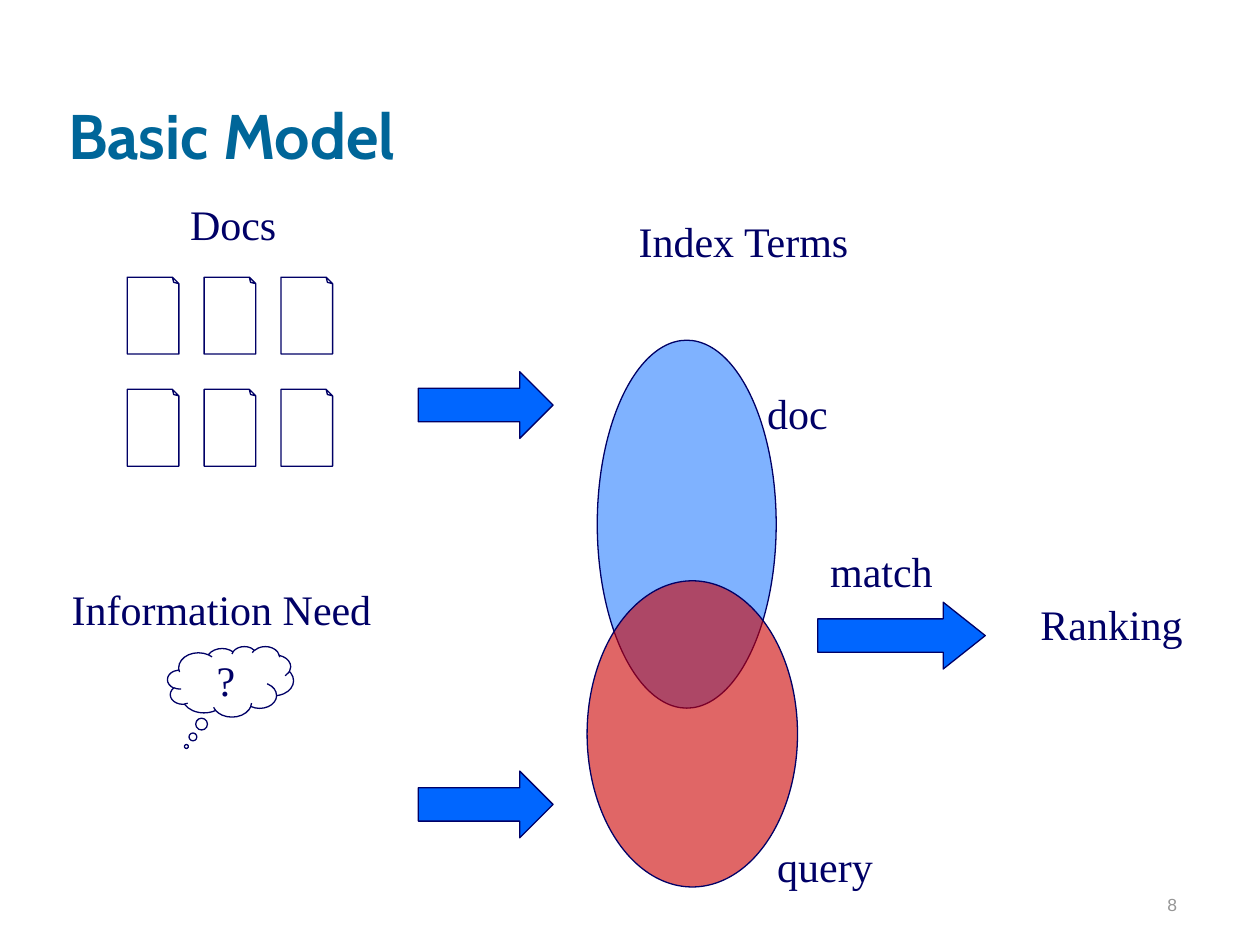
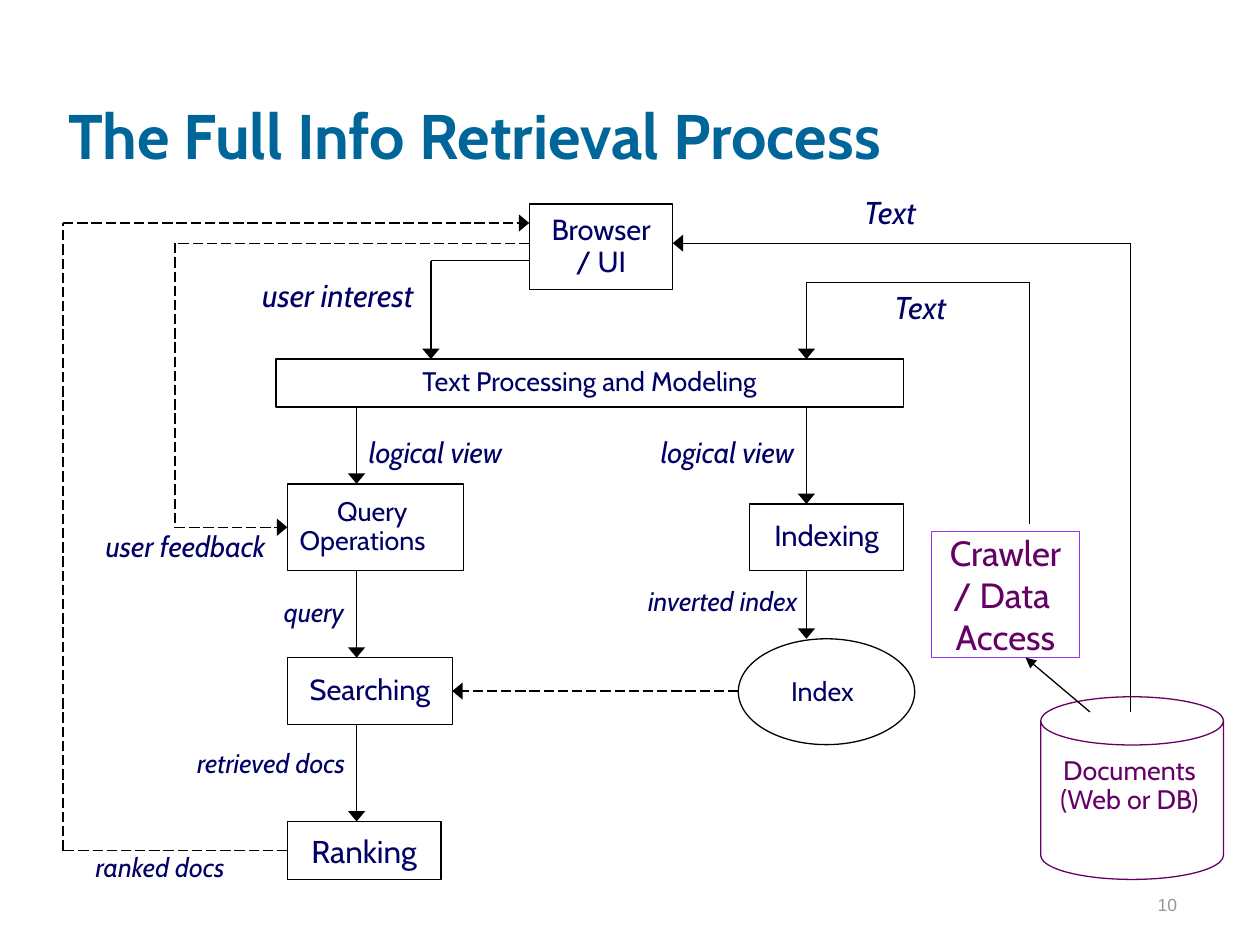
"""Build two slides on the model and the process of information retrieval."""
from itertools import pairwise, product

from lxml.etree import SubElement
from pptx import Presentation
from pptx.dml.color import RGBColor
from pptx.enum.dml import MSO_LINE
from pptx.enum.shapes import MSO_CONNECTOR, MSO_SHAPE as Shape
from pptx.enum.text import MSO_ANCHOR as Anchor, MSO_AUTO_SIZE, PP_ALIGN as Align
from pptx.oxml.ns import qn
from pptx.util import Inches, Pt

NAVY, TEAL, GREY, BLACK, WHITE = "000066", "006699", "969696", "000000", "FFFFFF"
BLUE, RED, PURPLE, VIOLET = "0066FF", "CC0000", "660066", "9933FF"
SERIF, SANS, NUMBER_FONT = "Times New Roman", "Cabin", "Arial"
LEFT, CENTER, RIGHT = Align.LEFT, Align.CENTER, Align.RIGHT
SLIDE_WIDTH, SLIDE_HEIGHT = 10, 7.5
TITLE_AREA = (0.44, 0.17, 8.5, 1.25)
NUMBER_AREA = (7.36, 6.81, 2.08, 0.5)
LINE_WIDTH = 0.75

MODEL_LABELS = [
    ("Docs", 1.41, 1.53, 0.88),
    ("Information Need", 0.47, 4.58, 2.58),
    ("Index Terms", 4.97, 1.66, 1.89),
    ("doc", 5.99, 3.03, 0.68),
    ("query", 6.07, 6.62, 0.96),
    ("Ranking", 8.16, 4.7, 1.33),
    ("match", 6.49, 4.28, 1.01),
]
LABEL_HEIGHT = 0.5
BLOCK_ARROWS = [(3.32, 2.95, 1.07, 0.5), (3.32, 6.12, 1.07, 0.5), (6.49, 4.78, 1.33, 0.63)]
ARROW_HEIGHT = 0.53
TERM_SETS = [((4.74, 2.7, 1.42, 2.92), BLUE, 50), ((4.66, 4.61, 1.67, 2.43), RED, 60)]
CLOUD = (1.33, 5.13, 1, 0.56)
PAGE_COLUMNS, PAGE_ROWS = 3, 2
PAGE_START, PAGE_STEP, PAGE_SIZE = (1.01, 2.2), (0.61, 0.89), (0.41, 0.61)

QUERY_X, INDEX_X, INTEREST_X = 2.83, 6.4, 3.42
RANKED_X, FEEDBACK_X, CRAWLER_X, DOCUMENTS_X = 0.5, 1.39, 8.17, 8.97
BOX_X, UI_LEFT, UI_RIGHT, MODELING_TOP = 2.28, 4.2, 5.34, 2.85
RANKED_Y, FEEDBACK_Y, INTEREST_Y, TEXT_Y = 1.77, 1.93, 2.07, 2.24
SEARCH_Y, OPERATIONS_Y, RANKING_Y = 5.485, 4.185, 6.75

PROCESS_BOXES = {
    "Browser / UI": ((UI_LEFT, 1.62, 1.14, 0.68), 16.6),
    "Text Processing and Modeling": ((2.19, MODELING_TOP, 4.98, 0.38), 15.3),
    "Query \nOperations": ((BOX_X, 3.84, 1.4, 0.69), 15.3),
    "Indexing": ((5.95, 4, 1.22, 0.53), 16.6),
    "Searching": ((BOX_X, 5.22, 1.31, 0.53), 16.6),
    "Ranking": ((BOX_X, 6.52, 1.22, 0.46), 18),
}
INDEX_AREA = (5.86, 5.07, 1.4, 0.84)
INDEX_LABEL = (6.18, 5.27, 0.79, 0.46)
CRAWLER_AREA = (7.39, 4.22, 1.18, 1)
DOCUMENTS_AREA = (8.26, 5.53, 1.45, 1.45)

DOWN_ARROWS = [
    (QUERY_X, 3.23, 3.84),
    (QUERY_X, 4.53, 5.22),
    (QUERY_X, 5.75, 6.52),
    (INDEX_X, 3.23, 4),
    (INDEX_X, 4.53, 5.07),
]
SOLID_ROUTES = [
    [(UI_LEFT, INTEREST_Y), (INTEREST_X, INTEREST_Y), (INTEREST_X, MODELING_TOP)],
    [(CRAWLER_X, 4.16), (CRAWLER_X, TEXT_Y), (INDEX_X, TEXT_Y), (INDEX_X, MODELING_TOP)],
    [(DOCUMENTS_X, 5.65), (DOCUMENTS_X, FEEDBACK_Y), (UI_RIGHT, FEEDBACK_Y)],
]
SEARCH_ROUTE = [(INDEX_AREA[0], SEARCH_Y), (3.59, SEARCH_Y)]
RANKED_ROUTE = [(BOX_X, RANKING_Y), (RANKED_X, RANKING_Y), (RANKED_X, RANKED_Y),
                (UI_LEFT, RANKED_Y)]
FEEDBACK_ROUTE = [(UI_LEFT, FEEDBACK_Y), (FEEDBACK_X, FEEDBACK_Y),
                  (FEEDBACK_X, OPERATIONS_Y), (BOX_X, OPERATIONS_Y)]
CRAWL_ROUTE = [(8.65, 5.65), (8.14, 5.22)]

FLOW_LABELS = [
    ("Text", (7, 2.24, 0.89, 0.45), 18, LEFT),
    ("Text", (6.76, 1.48, 0.89, 0.45), 18, LEFT),
    ("query", (1.93, 4.71, 0.9, 0.36), 15.3, RIGHT),
    ("user interest", (1.81, 2.14, 1.57, 0.56), 18, RIGHT),
    ("user feedback", (0.74, 4.18, 1.7, 0.44), 16.6, LEFT),
    ("ranked docs", (0.66, 6.73, 1.42, 0.41), 15.3, LEFT),
    ("retrieved docs", (1.2, 5.91, 1.64, 0.46), 15.3, RIGHT),
    ("logical view", (4.95, 3.43, 1.45, 0.41), 16.6, RIGHT),
    ("logical view", (QUERY_X, 3.43, 1.45, 0.41), 16.6, LEFT),
    ("inverted index", (4.85, 4.62, 1.58, 0.41), 15.3, RIGHT),
]


def color(value):
    return RGBColor.from_string(value)


def inches(lengths):
    return [Inches(length) for length in lengths]


def write(shape, text, size, font=SANS, ink=NAVY, align=LEFT, anchor=Anchor.TOP,
          wrap=True, bold=False, italic=False, spacing=1):
    frame = shape.text_frame
    frame.text = text
    frame.auto_size = MSO_AUTO_SIZE.NONE
    frame.word_wrap = wrap
    frame.vertical_anchor = anchor
    for paragraph in frame.paragraphs:
        paragraph.alignment = align
        paragraph.line_spacing = spacing
        paragraph.font.name = font
        paragraph.font.size = Pt(size)
        paragraph.font.bold = bold
        paragraph.font.italic = italic
        paragraph.font.color.rgb = color(ink)


def tight(size):
    return 0.9 if size < 18 else 1


def add_label(slide, text, area, size, **style):
    write(slide.shapes.add_textbox(*inches(area)), text, size, **style)


def adjust(shape, values):
    guides = shape.element.spPr.find(qn("a:prstGeom")).find(qn("a:avLst"))
    for guide in list(guides):
        guides.remove(guide)
    names = ["adj"] if len(values) == 1 else ["adj1", "adj2"]
    for name, value in zip(names, values):
        SubElement(guides, qn("a:gd"), name=name, fmla=f"val {round(value * 100000)}")


def add_shape(slide, kind, area, fill=None, line=NAVY, alpha=None, adjustments=()):
    shape = slide.shapes.add_shape(kind, *inches(area))
    shape.shadow.inherit = False
    if fill:
        shape.fill.solid()
        shape.fill.fore_color.rgb = color(fill)
    else:
        shape.fill.background()
    if alpha:
        fill_color = shape.element.spPr.find(qn("a:solidFill"))[0]
        SubElement(fill_color, qn("a:alpha"), val=str(alpha * 1000))
    if line:
        shape.line.color.rgb = color(line)
        shape.line.width = Pt(LINE_WIDTH)
    else:
        shape.line.fill.background()
    if adjustments:
        adjust(shape, adjustments)
    return shape


def add_route(slide, points, dashed=False, head_width="lg"):
    connectors = []
    for start, end in pairwise(points):
        connector = slide.shapes.add_connector(MSO_CONNECTOR.STRAIGHT, *inches(start + end))
        connector.line.color.rgb = color(BLACK)
        connector.line.width = Pt(LINE_WIDTH)
        if dashed:
            connector.line.dash_style = MSO_LINE.LONG_DASH
        SubElement(connector.element.spPr, qn("a:effectLst"))
        connectors.append(connector)
    SubElement(connectors[-1].element.spPr.find(qn("a:ln")), qn("a:tailEnd"),
               type="triangle", w=head_width, len="med")
    return connectors


def add_slide(presentation, title, number):
    slide = presentation.slides.add_slide(presentation.slide_layouts[5])
    heading = slide.shapes.title
    heading.left, heading.top, heading.width, heading.height = inches(TITLE_AREA)
    write(heading, title, 36, ink=TEAL, anchor=Anchor.BOTTOM, bold=True)
    add_label(slide, str(number), NUMBER_AREA, 10, font=NUMBER_FONT, ink=GREY,
              align=RIGHT, anchor=Anchor.BOTTOM)
    return slide


def build_model(presentation):
    slide = add_slide(presentation, "Basic Model", 8)
    cloud = add_shape(slide, Shape.CLOUD_CALLOUT, CLOUD, adjustments=(-0.35, 0.92))
    write(cloud, "?", 24, font=SERIF, align=CENTER, anchor=Anchor.MIDDLE, wrap=False)
    for left, top, width, head in BLOCK_ARROWS:
        add_shape(slide, Shape.RIGHT_ARROW, (left, top, width, ARROW_HEIGHT), BLUE,
                  adjustments=(0.5, head))
    for area, fill, alpha in TERM_SETS:
        add_shape(slide, Shape.OVAL, area, fill, alpha=alpha)
    for text, left, top, width in MODEL_LABELS:
        add_label(slide, text, (left, top, width, LABEL_HEIGHT), 24, font=SERIF, wrap=False)
    for row, column in product(range(PAGE_ROWS), range(PAGE_COLUMNS)):
        corner = (PAGE_START[0] + column * PAGE_STEP[0], PAGE_START[1] + row * PAGE_STEP[1])
        page = add_shape(slide, Shape.FOLDED_CORNER, corner + PAGE_SIZE, adjustments=(0.125,))
        page.element.spPr.find(qn("a:xfrm")).set("flipV", "1")


def build_process(presentation):
    slide = add_slide(presentation, "The Full Info Retrieval Process", 10)
    boxes = {}
    for text, (area, size) in PROCESS_BOXES.items():
        boxes[text] = add_shape(slide, Shape.RECTANGLE, area, WHITE, BLACK)
        write(boxes[text], text, size, align=CENTER, anchor=Anchor.MIDDLE, spacing=tight(size))
    operations = boxes["Query \nOperations"]
    operations.text_frame.paragraphs[1].alignment = LEFT

    index_label = add_shape(slide, Shape.RECTANGLE, INDEX_LABEL, WHITE, None)
    write(index_label, "Index", 15.3, anchor=Anchor.MIDDLE, spacing=0.9)
    add_shape(slide, Shape.OVAL, INDEX_AREA, line=BLACK)

    for x, top, bottom in DOWN_ARROWS:
        add_route(slide, [(x, top), (x, bottom)])
    for points in SOLID_ROUTES:
        add_route(slide, points)
    add_route(slide, SEARCH_ROUTE, dashed=True)[-1].end_connect(boxes["Searching"], 3)
    add_route(slide, RANKED_ROUTE, dashed=True)[0].begin_connect(boxes["Ranking"], 1)
    add_route(slide, FEEDBACK_ROUTE, dashed=True)[-1].end_connect(operations, 1)

    for text, area, size, align in FLOW_LABELS:
        add_label(slide, text, area, size, align=align, italic=True, spacing=tight(size))
    add_shape(slide, Shape.CAN, DOCUMENTS_AREA, line=PURPLE, adjustments=(0.264,))
    add_label(slide, "Documents (Web or DB)", (8.23, 5.96, 1.47, 0.74), 15.3, ink=PURPLE,
              align=CENTER, spacing=0.9)
    crawler = add_shape(slide, Shape.RECTANGLE, CRAWLER_AREA, line=VIOLET)
    write(crawler, "Crawler\v/ Data \vAccess", 20, ink=PURPLE, align=CENTER,
          anchor=Anchor.MIDDLE, wrap=False)
    add_route(slide, CRAWL_ROUTE, head_width="med")


def main():
    presentation = Presentation()
    presentation.slide_width = Inches(SLIDE_WIDTH)
    presentation.slide_height = Inches(SLIDE_HEIGHT)
    build_model(presentation)
    build_process(presentation)
    presentation.save("out.pptx")


if __name__ == "__main__":
    main()
